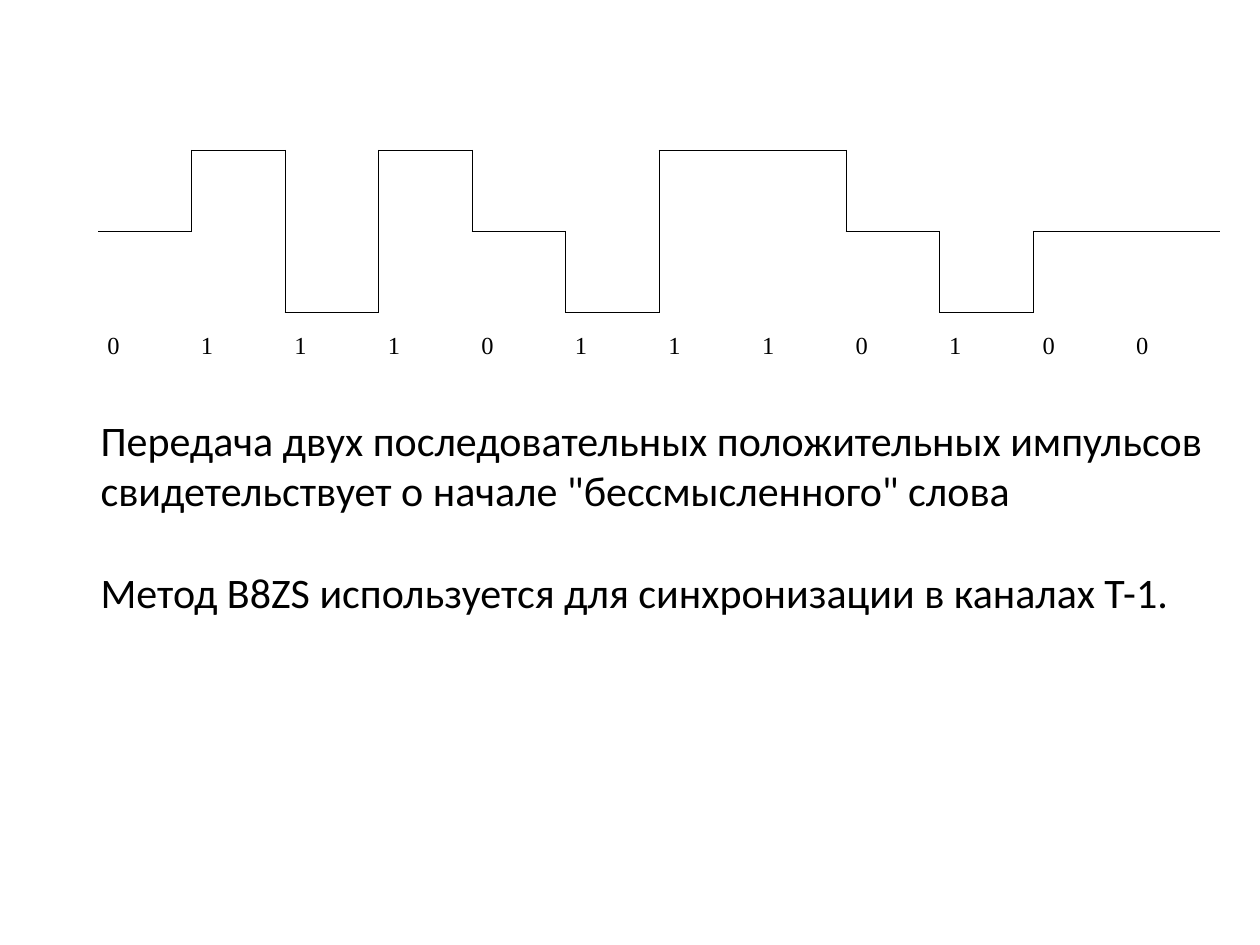
import dataclasses

import lxml.etree
import pptx
import pptx.dml.color
import pptx.enum.text
import pptx.oxml.ns
import pptx.util

Pt = pptx.util.Pt


@dataclasses.dataclass(frozen=True)
class Theme:
    ink: str = "000000"
    body_font: str = "Calibri"
    body_size: float = 24
    bit_font: str = "Times New Roman"
    bit_size: float = 14
    signal_width: float = 0.45


def write_text(paragraph, text, *, font, size, color, alignment=None,
               line_spacing=None, space_before=None):
    paragraph.text = text
    paragraph.font.name = font
    paragraph.font.size = Pt(size)
    paragraph.font.color.rgb = pptx.dml.color.RGBColor.from_string(color)
    paragraph.alignment = alignment
    paragraph.line_spacing = line_spacing
    if space_before is not None:
        paragraph.space_before = Pt(space_before)


def signal_borders(levels, row, column):
    level = levels[column]

    def steps_to(neighbour):
        if not 0 <= neighbour < len(levels):
            return False
        other = levels[neighbour]
        return min(level, other) <= row < max(level, other)

    return {"lnL": steps_to(column - 1), "lnR": steps_to(column + 1),
            "lnT": row == level, "lnB": row + 1 == level}


class SlideBuilder:
    def __init__(self, slide, theme):
        self.slide = slide
        self.theme = theme

    def border(self, cell, side, visible):
        qualify = pptx.oxml.ns.qn
        properties = cell._tc.get_or_add_tcPr()
        line = lxml.etree.SubElement(properties, qualify(f"a:{side}"))
        if not visible:
            lxml.etree.SubElement(line, qualify("a:noFill"))
            return
        line.set("w", str(Pt(self.theme.signal_width)))
        fill = lxml.etree.SubElement(line, qualify("a:solidFill"))
        lxml.etree.SubElement(fill, qualify("a:srgbClr"), val=self.theme.ink)

    def signal_table(self, bits, levels, left, top, column_width, row_height):
        row_count = 4
        shape = self.slide.shapes.add_table(
            row_count, len(bits), Pt(left), Pt(top),
            Pt(column_width * len(bits)), Pt(row_height * row_count))
        table = shape.table
        table.first_row = False
        table.horz_banding = False
        for row in range(row_count):
            for column, bit in enumerate(bits):
                cell = table.cell(row, column)
                for side, visible in signal_borders(levels, row, column).items():
                    self.border(cell, side, visible)
                cell.fill.background()
                cell.margin_left = cell.margin_right = Pt(5.4)
                if row == row_count - 1:
                    write_text(cell.text_frame.paragraphs[0], bit,
                               font=self.theme.bit_font, size=self.theme.bit_size,
                               color=self.theme.ink, line_spacing=1.5,
                               alignment=pptx.enum.text.PP_ALIGN.JUSTIFY)

    def text_box(self, texts, left, top, width, height, gap):
        shape = self.slide.shapes.add_textbox(Pt(left), Pt(top), Pt(width), Pt(height))
        frame = shape.text_frame
        frame.word_wrap = True
        frame.auto_size = pptx.enum.text.MSO_AUTO_SIZE.SHAPE_TO_FIT_TEXT
        for index, text in enumerate(texts):
            paragraph = frame.add_paragraph() if index else frame.paragraphs[0]
            write_text(paragraph, text, font=self.theme.body_font,
                       size=self.theme.body_size, color=self.theme.ink,
                       space_before=gap if index else None)


def main():
    presentation = pptx.Presentation()
    presentation.slide_width = Pt(720)
    presentation.slide_height = Pt(540)
    slide = presentation.slides.add_slide(presentation.slide_layouts[6])
    builder = SlideBuilder(slide, Theme())

    level_of_pulse = {"+": 1, "0": 2, "-": 3}
    levels = [level_of_pulse[pulse] for pulse in "0+-+0-++0-00"]
    builder.signal_table("011101110100", levels, left=56, top=39.4,
                         column_width=53.46, row_height=46.4)
    builder.text_box([
        "Передача двух последовательных положительных импульсов "
        "свидетельствует о начале \"бессмысленного\" слова",
        "Метод B8ZS используется для синхронизации в каналах Т-1.",
    ], left=50.4, top=233.3, width=646.6, height=180, gap=29.3)

    presentation.save("out.pptx")


if __name__ == "__main__":
    main()
